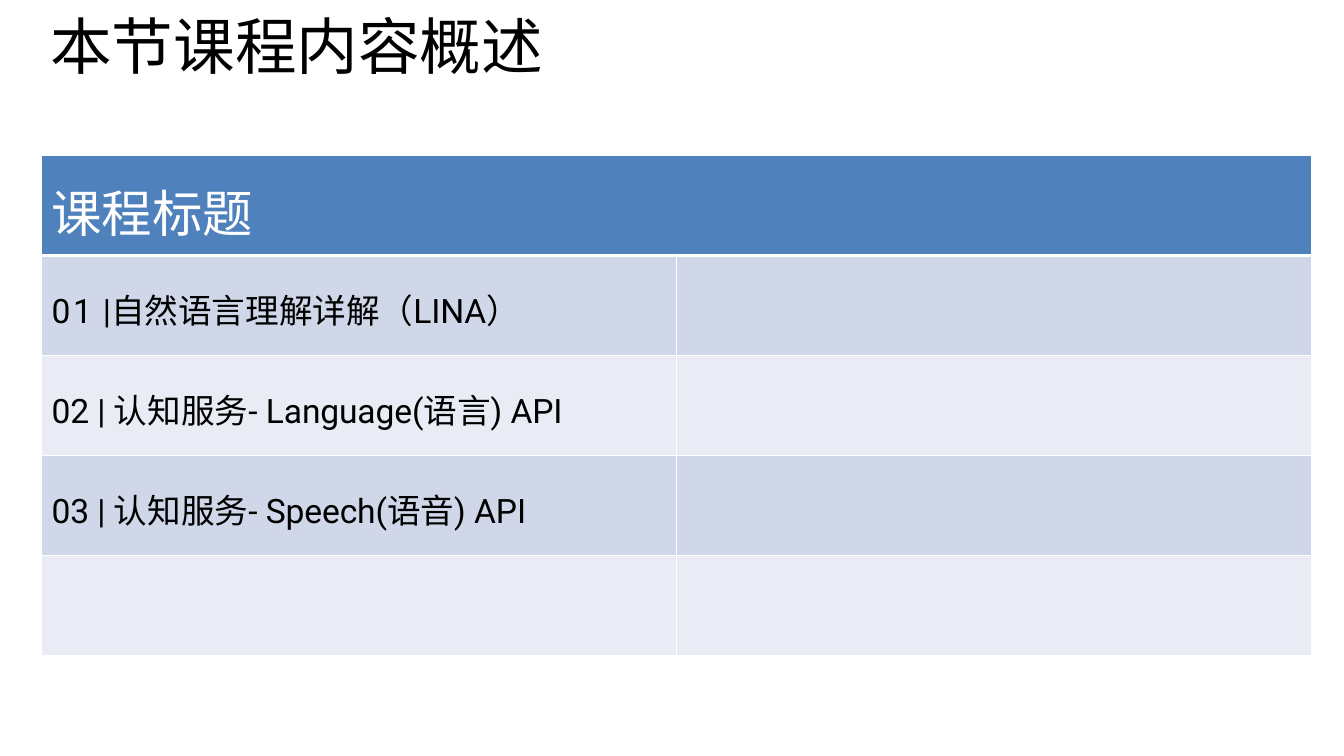
from lxml.etree import SubElement
from pptx import Presentation
from pptx.dml.color import RGBColor
from pptx.enum.text import MSO_ANCHOR, PP_ALIGN
from pptx.oxml.ns import qn
from pptx.util import Cm, Pt

COLORS = {"black": "000000", "white": "FFFFFF", "header": "4F81BC", "odd": "D0D7E8", "even": "E9ECF4"}
LATIN, CHINESE = "Roboto", "Noto Sans CJK SC"


def add_span(para, text, size, color, spacing=0):
    span = para.add_run()
    span.text = text
    span.font.size = Pt(size)
    span.font.bold = False
    span.font.color.rgb = RGBColor.from_string(COLORS[color])
    span.font.name = LATIN if text.isascii() else CHINESE
    properties = span.font._element
    SubElement(properties, qn("a:ea")).set("typeface", CHINESE)
    if spacing:
        properties.set("spc", str(spacing))


def add_border(cell, side, width):
    line = SubElement(cell._tc.get_or_add_tcPr(), qn(f"a:ln{side}"), w=str(Pt(width)))
    fill = SubElement(line, qn("a:solidFill"))
    SubElement(fill, qn("a:srgbClr"), val=COLORS["white"])


deck = Presentation()
deck.slide_width, deck.slide_height = Cm(33.87), Cm(19.05)
page = deck.slides.add_slide(deck.slide_layouts[5])

title = page.shapes.title
title.left, title.top, title.width, title.height = Cm(1.27), Cm(0.18), Cm(12.5), Cm(1.93)
frame = title.text_frame
frame.margin_left = frame.margin_right = frame.margin_bottom = 0
frame.margin_top = Cm(0.03)
frame.word_wrap = False
frame.vertical_anchor = MSO_ANCHOR.TOP
frame.paragraphs[0].alignment = PP_ALIGN.LEFT
add_span(frame.paragraphs[0], "本节课程内容概述", 44, "black")

lessons = [
    [("01", 190), (" |", -10), ("自然语言理解详解", 0), ("（", -10), ("LINA", -10), ("）", -10)],
]
for number, name, subject in [("02 ", "Language(", "语言"), ("03 ", "Speech(", "语音")]:
    lessons.append([
        (number, -10), ("| ", 0), ("认知服务", 0), ("- ", 0),
        (name, -10), (subject, 0), (") ", 0), ("API", -10),
    ])
rows = [[("课程标题", 0)], *lessons, []]

table = page.shapes.add_table(len(rows), 2, Cm(1.05), Cm(3.92), Cm(32), Cm(12.6)).table
for row, spans in enumerate(rows):
    table.rows[row].height = Cm(2.52)
    is_header = row == 0
    for column in range(2):
        cell = table.cell(row, column)
        for side in "LRTB":
            thick = (side == "B" and row == 0) or (side == "T" and row == 1)
            add_border(cell, side, 3 if thick else 1)
        cell.fill.solid()
        shade = "header" if is_header else "odd" if row % 2 else "even"
        cell.fill.fore_color.rgb = RGBColor.from_string(COLORS[shade])
        cell.margin_left = Cm(0.25)
        cell.margin_right = cell.margin_bottom = 0
        cell.margin_top = Cm(0.46 if is_header else 0.74)
    para = table.cell(row, 0).text_frame.paragraphs[0]
    for text, spacing in spans:
        add_span(para, text, 36 if is_header else 24, "white" if is_header else "black", spacing)
table.cell(0, 0).merge(table.cell(0, 1))

deck.save("out.pptx")
